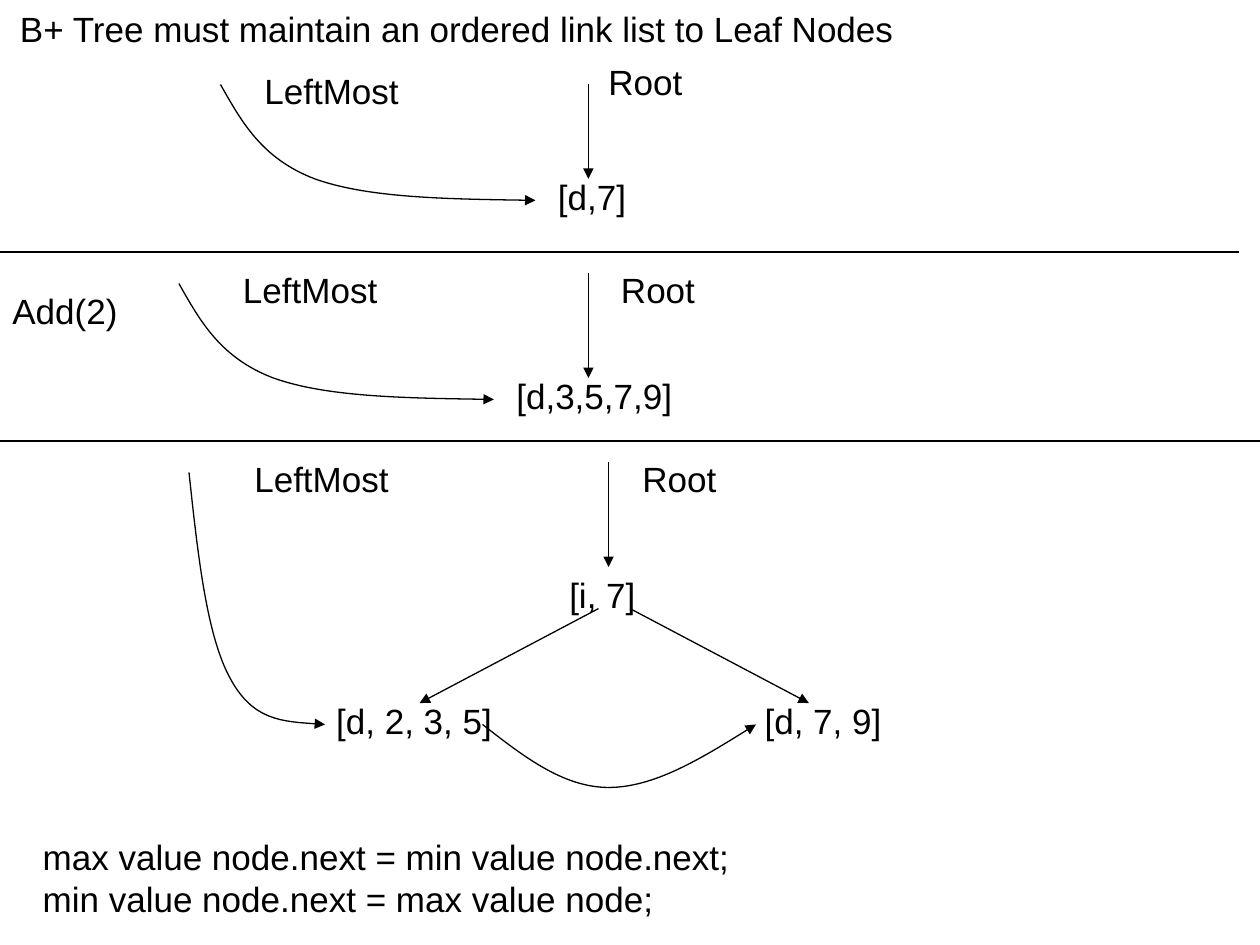
from dataclasses import dataclass

from lxml import etree
from pptx import Presentation
from pptx.dml.color import RGBColor
from pptx.enum.shapes import MSO_CONNECTOR
from pptx.enum.text import MSO_AUTO_SIZE
from pptx.oxml.ns import qn
from pptx.util import Inches, Pt

STRAIGHT = MSO_CONNECTOR.STRAIGHT
GROW = MSO_AUTO_SIZE.SHAPE_TO_FIT_TEXT


@dataclass(frozen=True)
class Theme:
    font: str = "Arial"
    size: float = 20
    ink: RGBColor = RGBColor(0, 0, 0)
    line_width: float = 0.75


@dataclass(frozen=True)
class Box:
    left: float
    top: float
    width: float
    height: float

    def at(self, x, y):
        """Turn a point inside the box into slide inches."""
        return self.left + x, self.top + y


THEME = Theme()
LINE_HEIGHT = 0.44
LABEL_WIDTHS = {"LeftMost": 1.29, "Root": 0.81}

# Offsets from the start of each curve: two cubic segments of three points.
SINGLE_LEAF_CURVE = [(0.17, 0.3), (0.33, 0.59), (0.75, 0.75),
                     (1.17, 0.9), (1.83, 0.91), (2.5, 0.92)]
FIRST_LEAF_CURVE = [(0.07, 0.65), (0.14, 1.3), (0.33, 1.64),
                    (0.51, 1.97), (0.79, 1.98), (1.08, 2)]
NEXT_LEAF_CURVE = [(0.32, 0.25), (0.64, 0.5), (1, 0.5),
                   (1.36, 0.5), (1.77, 0.25), (2.17, 0)]


def add_label(page, point, width, *lines, height=LINE_HEIGHT):
    left, top = point
    shape = page.shapes.add_textbox(Inches(left), Inches(top),
                                    Inches(width), Inches(height))
    frame = shape.text_frame
    frame.word_wrap = False
    frame.auto_size = GROW
    for index, text in enumerate(lines):
        para = frame.add_paragraph() if index else frame.paragraphs[0]
        span = para.add_run()
        span.text = text
        for name, value in {"name": THEME.font, "size": Pt(THEME.size)}.items():
            setattr(span.font, name, value)
        span.font.color.rgb = THEME.ink


def style_line(shape, arrow):
    shape.line.color.rgb = THEME.ink
    shape.line.width = Pt(THEME.line_width)
    if arrow:
        etree.SubElement(shape.line._get_or_add_ln(), qn("a:tailEnd"),
                         type="triangle")


def add_line(page, start, end, arrow=True):
    line = page.shapes.add_connector(
        STRAIGHT, *(Inches(value) for value in (*start, *end)))
    style_line(line, arrow)
    etree.SubElement(line._element.spPr, qn("a:effectLst"))


def add_curve(page, start, offsets):
    """Draw an open arrow whose points are taken three at a time as cubics."""
    x, y = start
    builder = page.shapes.build_freeform(Inches(x), Inches(y))
    builder.add_line_segments(
        [(Inches(x + dx), Inches(y + dy)) for dx, dy in offsets], close=False)
    shape = builder.convert_to_shape()
    segments = list(shape._element.iter(qn("a:lnTo")))
    for first in range(0, len(segments), 3):
        cubic = etree.Element(qn("a:cubicBezTo"))
        segments[first].addprevious(cubic)
        for segment in segments[first:first + 3]:
            cubic.append(segment[0])
            segment.getparent().remove(segment)
    shape.fill.background()
    style_line(shape, arrow=True)
    shape.shadow.inherit = False


def add_pointers(page, box, curve_x, leftmost_x, root, arrow, curve):
    """Place the LeftMost curve and the Root arrow with their labels."""
    arrow_x, arrow_top, arrow_end = arrow
    add_curve(page, box.at(curve_x, 0.25), curve)
    add_label(page, box.at(leftmost_x, 0.08), LABEL_WIDTHS["LeftMost"], "LeftMost")
    add_label(page, box.at(*root), LABEL_WIDTHS["Root"], "Root")
    add_line(page, box.at(arrow_x, arrow_top), box.at(arrow_x, arrow_end))


def add_title(page, box):
    add_label(page, box.at(0, 0), box.width,
              "B+ Tree must maintain an ordered link list to Leaf Nodes")


def add_initial_tree(page, box):
    add_pointers(page, box, 1.75, 2, (4.73, 0.01), (4.67, 0.25, 1),
                 SINGLE_LEAF_CURVE)
    add_label(page, box.at(4.33, 0.92), 0.76, "[d,7]")
    add_line(page, box.at(0, box.height), box.at(box.width, box.height), arrow=False)


def add_full_leaf(page, box):
    add_label(page, box.at(0, 0.25), 1.06, "Add(2)")
    add_pointers(page, box, 1.42, 1.83, (4.83, 0.08), (4.67, 0.17, 1),
                 SINGLE_LEAF_CURVE)
    add_label(page, box.at(4, 0.92), 1.46, "[d,3,5,7,9]")
    add_line(page, box.at(0, box.height), box.at(box.width, box.height), arrow=False)


def add_split_tree(page, box):
    add_pointers(page, box, 1.5, 1.92, (5, 0.08), (4.83, 0.17, 1),
                 FIRST_LEAF_CURVE)
    for x, y, width, node in [(4.42, 1, 0.76, "[i, 7]"),
                              (2.57, 2, 1.47, "[d, 2, 3, 5]"),
                              (5.97, 2, 1.16, "[d, 7, 9]")]:
        add_label(page, box.at(x, y), width, node)
    for parent_x, child_x in [(4.75, 3.33), (5, 6.42)]:
        add_line(page, box.at(parent_x, 1.33), box.at(child_x, 2.08))
    add_curve(page, box.at(3.83, 2.25), NEXT_LEAF_CURVE)


def add_rules(page, box):
    add_label(page, box.at(0, 0), box.width,
              "max value node.next = min value node.next;",
              "min value node.next = max value node;", height=box.height)


def main():
    deck = Presentation()
    deck.slide_width, deck.slide_height = Inches(10), Inches(7.5)
    page = deck.slides.add_slide(deck.slide_layouts[6])
    add_title(page, Box(0.06, 0.01, 7.18, LINE_HEIGHT))
    add_initial_tree(page, Box(0, 0.42, 9.83, 1.58))
    add_full_leaf(page, Box(0, 2, 10, 1.5))
    add_split_tree(page, Box(0, 3.5, 10, 2.75))
    add_rules(page, Box(0.24, 6.58, 5.7, 0.77))
    deck.save("out.pptx")


if __name__ == "__main__":
    main()
